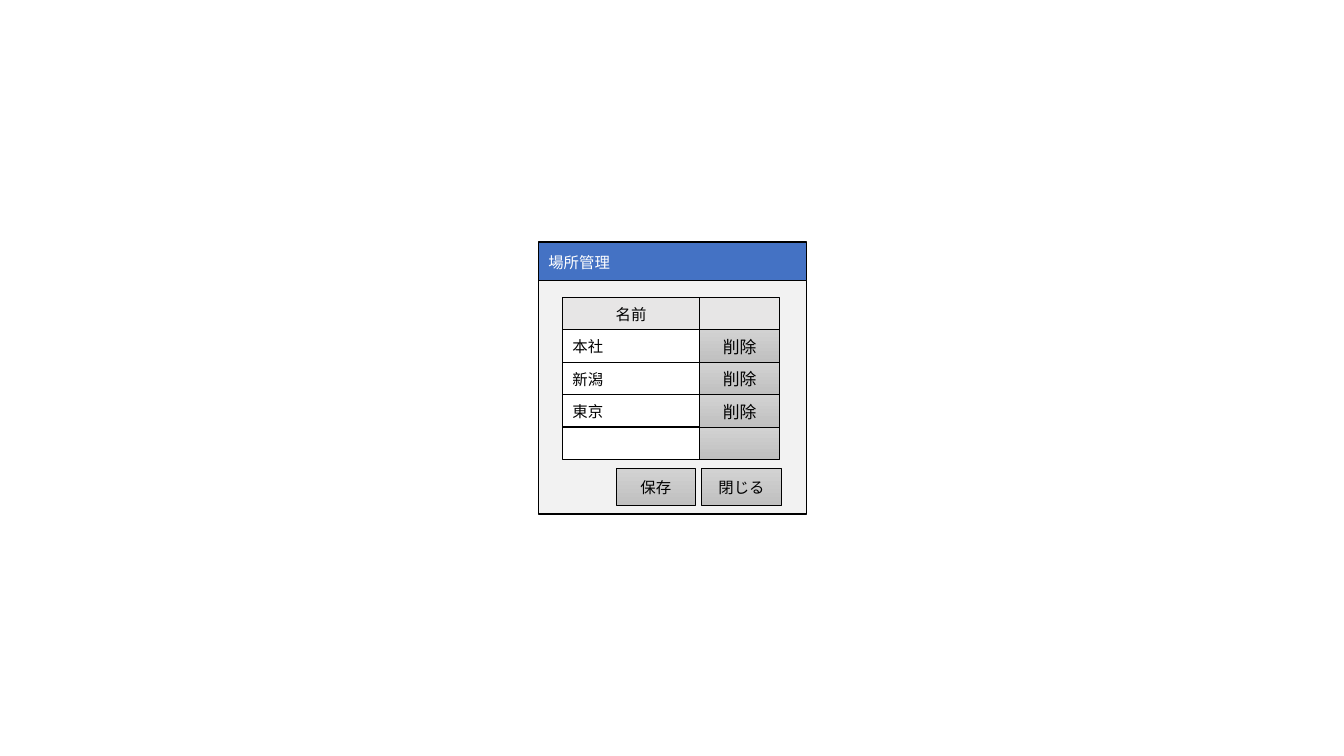
from dataclasses import dataclass

from lxml import etree
from pptx import Presentation, util as u
from pptx.dml.color import RGBColor
from pptx.enum import shapes, text
from pptx.oxml.ns import qn

# Content
TITLE = "場所管理"
HEADERS = ["名前", ""]
PLACES = [("本社", "削除"), ("新潟", "削除"), ("東京", "削除"), ("", "")]
ACTIONS = ["保存", "閉じる"]


@dataclass(frozen=True)
class Theme:
    font: str = "Noto Sans CJK JP"
    title: str = "4472C4"
    panel: str = "F2F2F2"
    header: str = "E7E6E6"
    paper: str = "FFFFFF"
    ink: str = "000000"
    button: tuple = ("D2D2D2", "C0C0C0")
    body_size: int = 11
    delete_size: int = 12
    border: float = 1
    thin_border: float = 0.5


THEME = Theme()
RECT = shapes.MSO_SHAPE.RECTANGLE
PROCESS = shapes.MSO_SHAPE.FLOWCHART_PROCESS
LEFT, CENTER = text.PP_ALIGN.LEFT, text.PP_ALIGN.CENTER

# Layout in inches
SLIDE_WIDTH, SLIDE_HEIGHT = 13.33, 7.5
DIALOG_LEFT, DIALOG_WIDTH = 5.34, 2.66
TITLE_TOP, TITLE_HEIGHT = 2.4, 0.4
PANEL_TOP, PANEL_HEIGHT = 2.78, 2.32
TABLE_LEFT, TABLE_TOP, TABLE_BOTTOM = 5.58, 2.95, 4.56
NAME_WIDTH, BUTTON_WIDTH = 1.36, 0.79
ROW_HEIGHT = (TABLE_BOTTOM - TABLE_TOP) / (len(PLACES) + 1)
ACTION_LEFT, ACTION_TOP, ACTION_HEIGHT, ACTION_GAP = 6.11, 4.65, 0.36, 0.06


def write(shape, words, size=THEME.body_size, color=THEME.ink, align=LEFT, spacing=1.07):
    frame = shape.text_frame
    frame.word_wrap = True
    frame.vertical_anchor = text.MSO_ANCHOR.MIDDLE
    paragraph = frame.paragraphs[0]
    paragraph.alignment = align
    paragraph.line_spacing = spacing
    paragraph.space_after = u.Pt(8)
    run = paragraph.add_run()
    run.text = words
    run.font.name = THEME.font
    run.font.size = u.Pt(size)
    run.font.color.rgb = RGBColor.from_string(color)
    east_asian = etree.SubElement(run.font._element, qn("a:ea"))
    east_asian.set("typeface", THEME.font)


def add_box(slide, box, fill, words="", kind=RECT, border=THEME.border, **style):
    shape = slide.shapes.add_shape(kind, *(u.Inches(length) for length in box))
    shape.shadow.inherit = False
    if isinstance(fill, tuple):
        shape.fill.gradient()
        shape.fill.gradient_angle = 270
        for stop, color in zip(shape.fill.gradient_stops, fill):
            stop.color.rgb = RGBColor.from_string(color)
    else:
        shape.fill.solid()
        shape.fill.fore_color.rgb = RGBColor.from_string(fill)
    shape.line.color.rgb = RGBColor.from_string(THEME.ink)
    shape.line.width = u.Pt(border)
    if words:
        write(shape, words, **style)


def add_button(slide, box, words, size=THEME.body_size):
    add_box(slide, box, THEME.button, words, kind=PROCESS, border=THEME.thin_border,
            size=size, align=CENTER, spacing=1.06)


def row_boxes(row):
    top = TABLE_TOP + row * ROW_HEIGHT
    return ((TABLE_LEFT, top, NAME_WIDTH, ROW_HEIGHT),
            (TABLE_LEFT + NAME_WIDTH, top, BUTTON_WIDTH, ROW_HEIGHT))


def main():
    presentation = Presentation()
    presentation.slide_width = u.Inches(SLIDE_WIDTH)
    presentation.slide_height = u.Inches(SLIDE_HEIGHT)
    slide = presentation.slides.add_slide(presentation.slide_layouts[6])

    # Dialog window
    add_box(slide, (DIALOG_LEFT, TITLE_TOP, DIALOG_WIDTH, TITLE_HEIGHT), THEME.title,
            TITLE, kind=PROCESS, color=THEME.paper, spacing=1.06)
    add_box(slide, (DIALOG_LEFT, PANEL_TOP, DIALOG_WIDTH, PANEL_HEIGHT), THEME.panel)

    # Action buttons
    for index, label in enumerate(ACTIONS):
        left = ACTION_LEFT + index * (BUTTON_WIDTH + ACTION_GAP)
        add_button(slide, (left, ACTION_TOP, BUTTON_WIDTH, ACTION_HEIGHT), label)

    # Place rows, each with its delete button
    for row, (place, label) in enumerate(PLACES, start=1):
        name_box, button_box = row_boxes(row)
        add_box(slide, name_box, THEME.paper, place)
        add_button(slide, button_box, label, size=THEME.delete_size)

    # Header row
    for box, label in zip(row_boxes(0), HEADERS):
        add_box(slide, box, THEME.header, label, align=CENTER)

    presentation.save("out.pptx")


if __name__ == "__main__":
    main()
